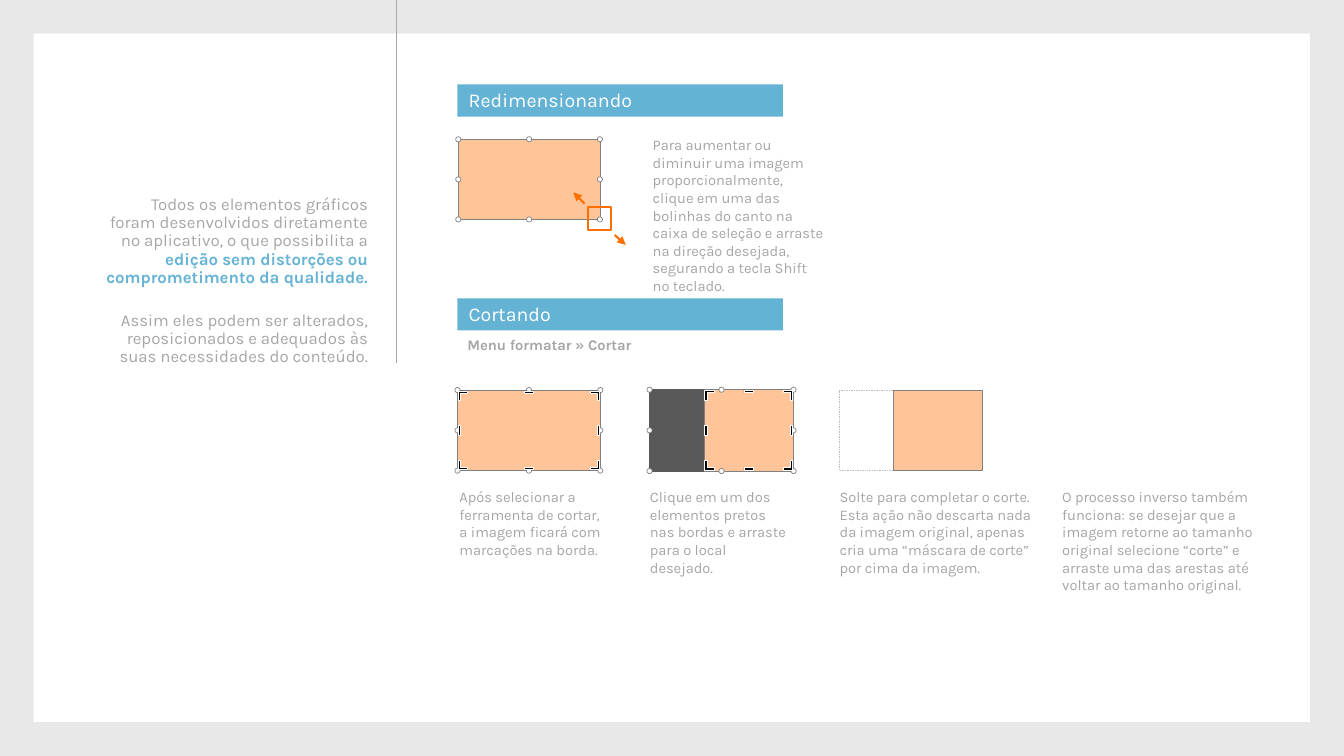
"""Build a slide that explains resizing and cropping images."""
from itertools import product

from lxml import etree
from pptx import Presentation
from pptx.dml.color import RGBColor
from pptx.enum.dml import MSO_LINE
from pptx.enum.shapes import MSO_CONNECTOR, MSO_SHAPE
from pptx.enum.text import MSO_AUTO_SIZE, PP_ALIGN
from pptx.oxml.ns import qn
from pptx.util import Cm, Pt

RECT, OVAL = MSO_SHAPE.RECTANGLE, MSO_SHAPE.OVAL
LINE, DASH = MSO_CONNECTOR.STRAIGHT, MSO_LINE.DASH
RIGHT, GROW = PP_ALIGN.RIGHT, MSO_AUTO_SIZE.SHAPE_TO_FIT_TEXT

THEME = {
    "font": "Karla", "body": 10.5, "intro": 12, "head": 14,
    "white": "FFFFFF", "black": "000000", "frame": "E8E8E8", "text": "A6A6A6",
    "blue": "64B3D5", "orange": "FF6F00", "edge": "808080",
    "dark": "595959", "ghost": "BFBFBF",
}

INTRO = [
    [("Todos os elementos gráficos foram desenvolvidos diretamente "
      "no aplicativo, o que possibilita a ", False),
     ("edição sem distorções ou comprometimento da qualidade.", True)],
    [("Assim eles podem ser alterados, reposicionados e adequados às "
      "suas necessidades do conteúdo.", False)],
]
HEADS = [("Redimensionando", 2.13, 6.48), ("Cortando", 7.52, 4.57)]
RESIZE = ("Para aumentar ou diminuir uma imagem proporcionalmente, clique em uma "
          "das bolinhas do canto na caixa de seleção e arraste na direção desejada, "
          "segurando a tecla Shift no teclado.")
MENU = "Menu formatar » Cortar"
STEPS = [
    (11.33, 4.19, 2.06, "Após selecionar a ferramenta de cortar, a imagem ficará "
     "com marcações na borda."),
    (16.13, 4.09, 2.06, "Clique em um dos elementos pretos nas bordas e arraste "
     "para o local desejado."),
    (20.91, 5.54, 2.49, "Solte para completar o corte. Esta ação não descarta nada da "
     "imagem original, apenas cria uma “máscara de corte” por cima da imagem."),
    (26.52, 5.82, 2.95, "O processo inverso também funciona: se desejar que a imagem "
     "retorne ao tamanho original selecione “corte” e arraste uma das arestas até "
     "voltar ao tamanho original."),
]
ARROWS = [(15.49, 5.92, 15.77, 6.17), (14.73, 5.13, 14.45, 4.85)]
WIDE, HIGH, RIM = 33.87, 19.05, 0.85
LEFT, CUT = 11.53, 1.37
DOT, ARM, THICK, INSET = 0.13, 0.24, 0.06, 0.02

deck = Presentation()
deck.slide_width, deck.slide_height = Cm(WIDE), Cm(HIGH)
slide = deck.slides.add_slide(deck.slide_layouts[6])
shapes = slide.shapes


def color(name):
    return RGBColor.from_string(THEME[name])


def paint(shape, fill=None, line=None, width=0.5):
    shape.shadow.inherit = False
    if fill:
        shape.fill.solid()
        shape.fill.fore_color.rgb = color(fill)
    else:
        shape.fill.background()
    if line:
        shape.line.color.rgb = color(line)
        shape.line.width = Pt(width)
    else:
        shape.line.fill.background()
    return shape


def draw(kind, box, *style):
    return paint(shapes.add_shape(kind, *map(Cm, box)), *style)


def image(box):
    shape = draw(RECT, box, "orange", "edge")
    tint = shape.fill._xPr.find(qn("a:solidFill"))[0]
    etree.SubElement(tint, qn("a:alpha")).set("val", "40000")


def dots(x, y, w, h):
    for col, row in product(range(3), repeat=2):
        if (col, row) != (1, 1):
            spot = (x + col * w / 2 - DOT / 2, y + row * h / 2 - DOT / 2, DOT, DOT)
            draw(OVAL, spot, "white", "edge")


def marks(x, y, w, h):
    x, y, w, h = x + INSET, y + INSET, w - 2 * INSET, h - 2 * INSET
    for right, low in product((0, 1), repeat=2):
        dx, dy = 1 - 2 * right, 1 - 2 * low
        bends = [(0, 0), (ARM, 0), (ARM, THICK), (THICK, THICK), (THICK, ARM), (0, ARM)]
        points = [(Cm(x + right * w + dx * a), Cm(y + low * h + dy * b))
                  for a, b in bends]
        pen = shapes.build_freeform(*points[0])
        pen.add_line_segments(points[1:])
        paint(pen.convert_to_shape(), "black", "white")
    for end in (0, 1):
        flat = (x + (w - ARM) / 2, y + end * (h - THICK), ARM, THICK)
        tall = (x + end * (w - THICK), y + (h - ARM) / 2, THICK, ARM)
        draw(RECT, flat, "black", "white")
        draw(RECT, tall, "black", "white")


def line(ends, tone, width, arrow=False):
    wire = shapes.add_connector(LINE, *map(Cm, ends))
    wire.line.color.rgb = color(tone)
    wire.line.width = Pt(width)
    if arrow:
        etree.SubElement(wire.line._get_or_add_ln(), qn("a:tailEnd")).set("type", "triangle")
    etree.SubElement(wire._element.spPr, qn("a:effectLst"))


def style(font, size, tone, bold=False):
    font.name, font.size, font.bold = THEME["font"], Pt(THEME[size]), bold
    font.color.rgb = color(tone)


def frame(box):
    text = shapes.add_textbox(*map(Cm, box)).text_frame
    text.word_wrap, text.auto_size = True, GROW
    return text


def write(box, words, size="body", tone="text", bold=False):
    para = frame(box).paragraphs[0]
    para.text = words
    style(para.font, size, tone, bold)


for box in [(0, 0, WIDE, RIM), (0, HIGH - RIM, WIDE, RIM),
            (0, 0, RIM, HIGH), (WIDE - RIM, 0, RIM, HIGH)]:
    draw(RECT, box, "frame")

intro = frame((2.37, 4.82, 7.16, 4.6))
for i, parts in enumerate(INTRO):
    para = intro.add_paragraph() if i else intro.paragraphs[0]
    para.alignment, para.line_spacing, para.space_after = RIGHT, 0.9, Pt(18)
    for words, bold in parts:
        run = para.add_run()
        run.text = words
        style(run.font, "intro", "blue" if bold else "text", bold)
line((10, 0, 10, 9.14), "text", 0.75)

for words, top, width in HEADS:
    draw(RECT, (LEFT, top, 8.2, 0.81), "blue")
    write((LEFT + 0.03, top - 0.03, width, 0.86), words, "head", "white")
write((16.2, 3.3, 4.85, 3.84), RESIZE)
write((LEFT, 8.33, 8.69, 0.71), MENU, bold=True)
for left, width, height, words in STEPS:
    write((left, 12.17, width, height), words)

whole = (LEFT + 0.02, 3.51, 3.57, 2.02)
image(whole)
dots(*whole)
draw(RECT, (14.81, 5.22, 0.58, 0.58), None, "orange", 1.5)
for ends in ARROWS:
    line(ends, "orange", 1.5, True)

ready = (LEFT, 9.83, 3.6, 2.03)
image(ready)
dots(*ready)
marks(*ready)

drag = (16.37, 9.82, 3.63, 2.05)
kept = (drag[0] + CUT, drag[1], drag[2] - CUT, drag[3])
draw(RECT, (*drag[:2], CUT, drag[3]), "dark", "dark")
image(kept)
dots(*drag)
marks(*kept)

ghost = draw(RECT, (21.14, 9.83, CUT, 2.03), None, "ghost", 0.25)
ghost.line.dash_style = DASH
image((21.14 + CUT, 9.83, 2.24, 2.03))

deck.save("out.pptx")
